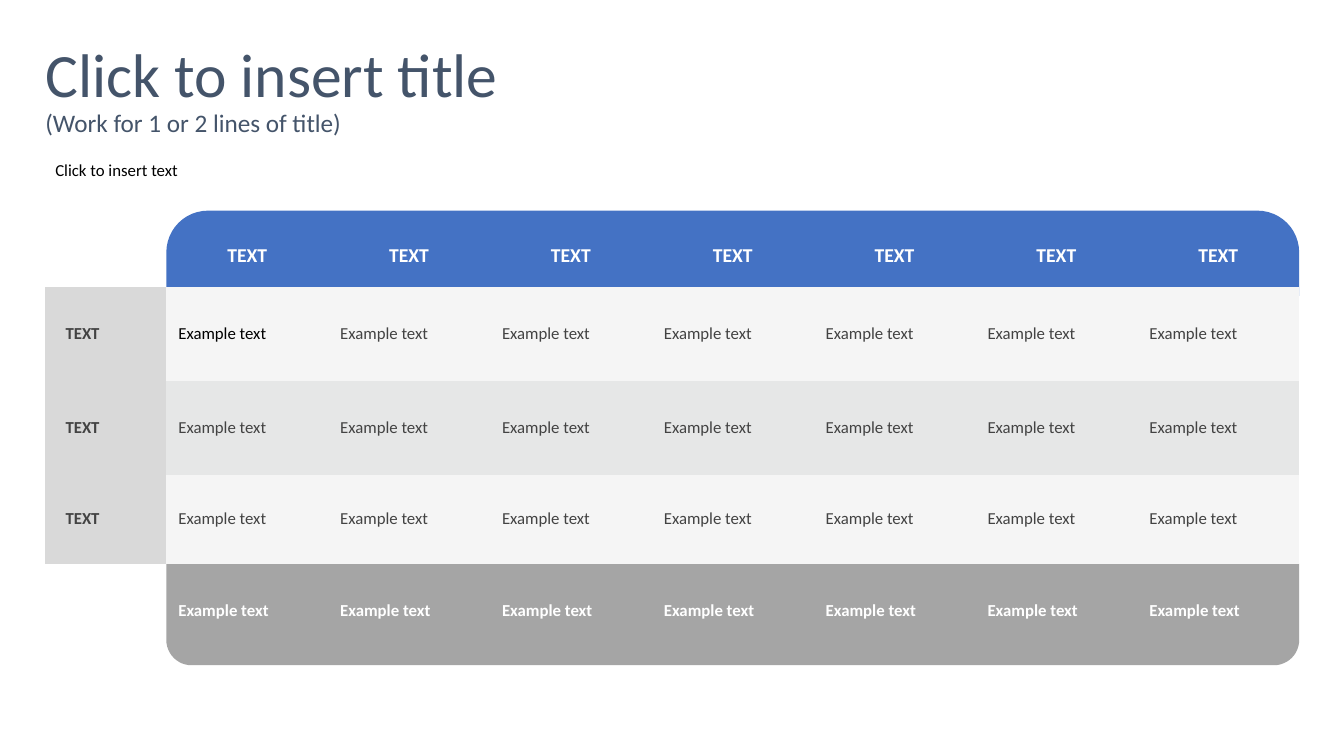
from pptx import Presentation
from pptx.dml.color import RGBColor
from pptx.enum import shapes, text
from pptx.util import Pt

TITLE = "Click to insert title"
SUB = "(Work for 1 or 2 lines of title)"
INTRO = "Click to insert text"
COLS = 7
HEAD, SIDE, BODY = "TEXT", "TEXT", "Example text"
FONT = "Calibri"
BLUE, GREY, NAVY, DARK = "4472C4", "A5A5A5", "44546A", "434343"
WHITE, BLACK, SIDE_BG = "FFFFFF", "000000", "D9D9D9"

# side label, cell text, height, fill, text colour, size, bold, centred
ROWS = [
    ("", HEAD, 41.8, None, WHITE, 14, True, True),
    (SIDE, BODY, 67, "F5F5F5", DARK, 12, False, False),
    (SIDE, BODY, 67, "E6E7E7", DARK, 12, False, False),
    (SIDE, BODY, 64, "F5F5F5", DARK, 12, False, False),
    ("", BODY, 67, None, WHITE, 12, True, False),
]
LEFT, TOP, SIDE_W, COL_W = 32.4, 163.4, 86.4, 115.6
GRID_X, GRID_W = LEFT + SIDE_W, COLS * COL_W
# top, corner rounding, fill
CAPS = [(386.6, 0.204, GREY), (150.5, 0.336, BLUE)]
CAP_H = 88.6


def rgb(code):
    return RGBColor.from_string(code)


def style(font, size, color, bold=False):
    font.name, font.size, font.bold = FONT, Pt(size), bold
    font.color.rgb = rgb(color)


def fill_cell(cell, words, fill, color, size, bold, mid=False, inset=8.6):
    if fill:
        cell.fill.solid()
        cell.fill.fore_color.rgb = rgb(fill)
    else:
        cell.fill.background()
    if not words:
        return
    cell.margin_left, cell.margin_right = Pt(inset), Pt(8.6)
    cell.margin_top = cell.margin_bottom = 0
    cell.vertical_anchor = text.MSO_ANCHOR.MIDDLE
    para = cell.text_frame.paragraphs[0]
    para.text = words
    para.line_spacing = Pt(14)
    para.alignment = text.PP_ALIGN.CENTER if mid else text.PP_ALIGN.LEFT
    style(para.font, size, color, bold)


deck = Presentation()
deck.slide_width, deck.slide_height = Pt(960), Pt(540)
slide = deck.slides.add_slide(deck.slide_layouts[5])

title = slide.shapes.title
title.left, title.top, title.width, title.height = map(Pt, (LEFT, 31.7, 862, 67.7))
frame = title.text_frame
frame.margin_left = frame.margin_right = frame.margin_top = frame.margin_bottom = 0
frame.word_wrap = True
frame.auto_size = text.MSO_AUTO_SIZE.NONE
frame.vertical_anchor = text.MSO_ANCHOR.TOP
para = frame.paragraphs[0]
para.alignment = text.PP_ALIGN.LEFT
para.line_spacing = 0.9
for words, size in ((TITLE, 44), (SUB, 18)):
    if para.runs:
        para.add_line_break()
    run = para.add_run()
    run.text = words
    style(run.font, size, NAVY)

for top, curve, color in CAPS:
    cap = slide.shapes.add_shape(shapes.MSO_SHAPE.ROUNDED_RECTANGLE,
                                 Pt(GRID_X), Pt(top), Pt(GRID_W), Pt(CAP_H))
    cap.adjustments[0] = curve
    cap.shadow.inherit = False
    cap.fill.solid()
    cap.fill.fore_color.rgb = rgb(color)
    cap.line.fill.background()

intro = slide.shapes.add_textbox(Pt(LEFT), Pt(110.9), Pt(862), Pt(39.6))
intro.text_frame.word_wrap = True
para = intro.text_frame.paragraphs[0]
para.text = INTRO
para.line_spacing = Pt(14)
style(para.font, 12, BLACK)

grid = slide.shapes.add_table(len(ROWS), COLS + 1, Pt(LEFT), Pt(TOP),
                              Pt(SIDE_W + GRID_W), Pt(sum(r[2] for r in ROWS)))
# Built-in style "No Style, No Grid"
grid.element.xpath(".//a:tableStyleId")[0].text = "{2D5ABB26-0587-4C30-8999-92F81FD0307C}"
table = grid.table
table.first_row = table.horz_banding = False
for i, col in enumerate(table.columns):
    col.width = Pt(COL_W if i else SIDE_W)
for r, (side, words, high, fill, color, size, bold, mid) in enumerate(ROWS):
    table.rows[r].height = Pt(high)
    fill_cell(table.cell(r, 0), side, SIDE_BG if side else None, DARK, 12, True,
              inset=14.4)
    for c in range(1, COLS + 1):
        ink = BLACK if (r, c) == (1, 1) else color
        fill_cell(table.cell(r, c), words, fill, ink, size, bold, mid)

deck.save("out.pptx")
